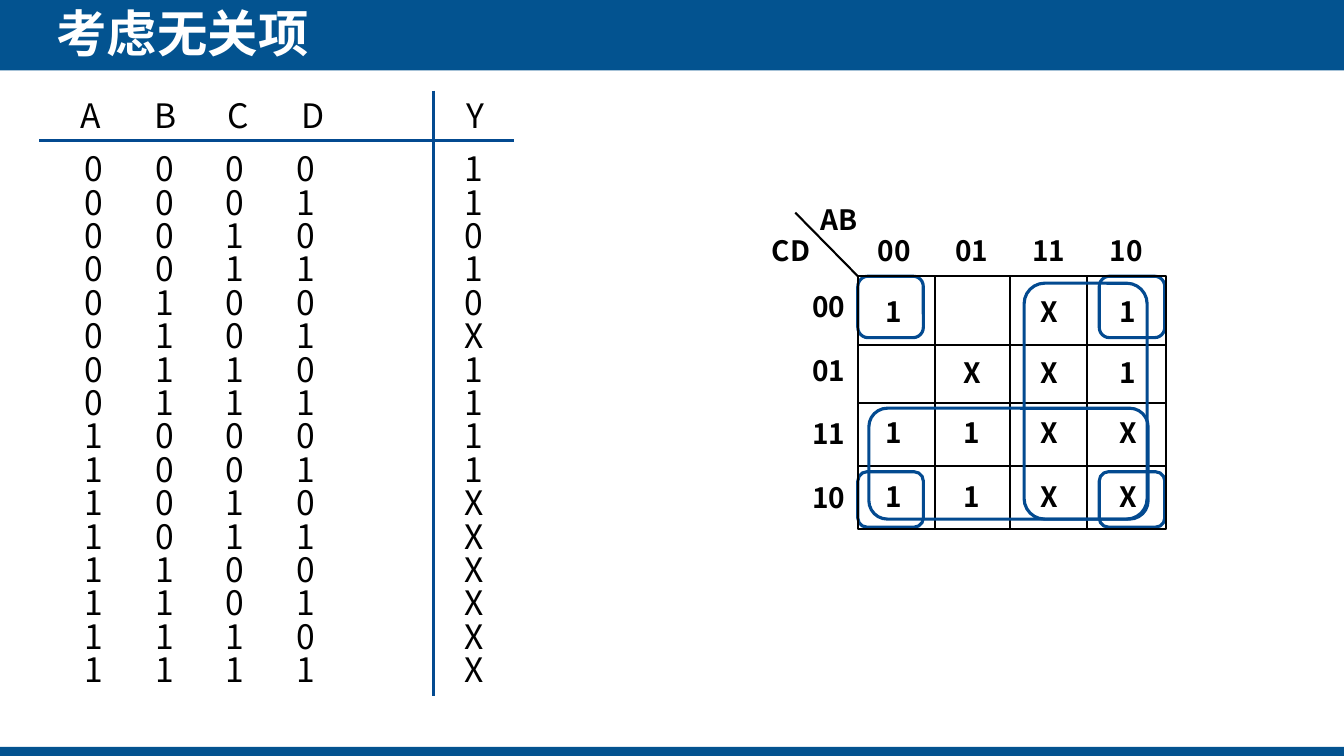
from lxml.etree import SubElement
from pptx import Presentation
from pptx.dml.color import RGBColor
from pptx.enum.shapes import MSO_CONNECTOR, MSO_SHAPE
from pptx.enum.text import MSO_ANCHOR, MSO_AUTO_SIZE, PP_ALIGN
from pptx.oxml.ns import qn
from pptx.util import Inches, Pt

BAND_BLUE = RGBColor(0x03, 0x53, 0x90)
LINE_BLUE = RGBColor(0x03, 0x4A, 0x90)
BLACK = RGBColor(0, 0, 0)
WHITE = RGBColor(0xFF, 0xFF, 0xFF)
FONT = "Noto Sans CJK SC"

# Grid of square cells, each a tenth of an inch
CELL = Inches(0.1)
COLUMNS, ROWS = 133.33, 75


def grid(*lengths):
    return [round(length * CELL) for length in lengths]


def write_text(frame, text, size=24, color=BLACK, bold=False,
               align=PP_ALIGN.LEFT, tab_step=None):
    paragraph = frame.paragraphs[0]
    paragraph.alignment = align
    if tab_step:
        tabs = SubElement(paragraph._p.get_or_add_pPr(), qn("a:tabLst"))
        for stop in range(1, text.count("\t") + 1):
            SubElement(tabs, qn("a:tab"), pos=str(grid(stop * tab_step)[0]), algn="l")
    run = paragraph.add_run()
    run.text = text
    font = run.font
    font.size, font.bold, font.name = Pt(size), bold, FONT
    font.color.rgb = color
    SubElement(run._r.get_or_add_rPr(), qn("a:ea"), typeface=FONT)


class Board:
    def __init__(self, slide):
        self.slide = slide
        self.shapes = slide.shapes

    def title(self, text, left, top, width, height):
        title = self.shapes.title
        title.left, title.top, title.width, title.height = grid(left, top, width, height)
        frame = title.text_frame
        frame.margin_left = frame.margin_right = 0
        frame.margin_top = frame.margin_bottom = 0
        frame.vertical_anchor = MSO_ANCHOR.MIDDLE
        write_text(frame, text, size=36, color=WHITE, bold=True)

    def band(self, top, height):
        band = self.shapes.add_shape(MSO_SHAPE.RECTANGLE, *grid(0, top, COLUMNS, height))
        band.shadow.inherit = False
        band.fill.solid()
        band.fill.fore_color.rgb = BAND_BLUE
        band.line.fill.background()
        # Bands lie behind the title
        self.shapes._spTree.insert(2, band._element)

    def outline(self, left, top, width, height, kind=MSO_SHAPE.ROUNDED_RECTANGLE,
                color=LINE_BLUE, weight=2.25):
        outline = self.shapes.add_shape(kind, *grid(left, top, width, height))
        outline.shadow.inherit = False
        outline.fill.background()
        outline.line.color.rgb = color
        outline.line.width = Pt(weight)
        return outline

    def rule(self, x1, y1, x2, y2, color=BLACK, weight=1.5):
        rule = self.shapes.add_connector(MSO_CONNECTOR.STRAIGHT, *grid(x1, y1, x2, y2))
        rule.line.color.rgb = color
        rule.line.width = Pt(weight)
        SubElement(rule._element.spPr, qn("a:effectLst"))
        return rule

    def label(self, text, left, top, width, height=5, wrap=True, **style):
        box = self.shapes.add_textbox(*grid(left, top, width, height))
        box.text_frame.word_wrap = wrap
        box.text_frame.auto_size = MSO_AUTO_SIZE.SHAPE_TO_FIT_TEXT
        write_text(box.text_frame, text, **style)

    def map_label(self, text, left, top, width):
        self.label(text, left, top, width, height=4.4, wrap=False, size=20, bold=True)


def draw_truth_table(board):
    board.rule(3.9, 13.9, 51, 13.9, LINE_BLUE, 2.25)
    board.rule(43, 9, 43, 69, LINE_BLUE, 2.25)
    board.label("A\tB\tC\tD", 7, 8.9, 31.9, tab_step=7.3)
    board.label("Y", 44.2, 8.9, 5.9, align=PP_ALIGN.CENTER)
    for number, output in enumerate("11010X1111XXXXXX"):
        top = 14.2 + 3.313 * number
        board.label("\t".join(f"{number:04b}"), 7.4, top, 30.3, tab_step=7)
        board.label(output, 45.1, top, 3.8)


def draw_karnaugh_map(board):
    left, top, width, height = 85.1, 27.4, 30.6, 25.1
    right, bottom = left + width, top + height
    middle = top + height / 2

    # Grid
    frame = board.outline(left, top, width, height, MSO_SHAPE.RECTANGLE, BLACK, 1.5)
    for x in (92.8, 100.2, 107.8):
        board.rule(x, top, x, bottom)
    for y in (34.2, 46.2):
        board.rule(left, y, right, y)
    centre_rule = board.rule(left, middle, right, middle)
    centre_rule.begin_connect(frame, 1)
    centre_rule.end_connect(frame, 3)
    board.rule(left, top, 78.9, 21.1)

    # Variables and Gray codes
    board.map_label("CD", 75.6, 22.7, 6.1)
    board.map_label("AB", 80.4, 19.6, 6)
    for index, code in enumerate(("00", "01", "11", "10")):
        board.map_label(code, 79.6, 28.2 + 6.33 * index, 5.5)
        board.map_label(code, 86.1 + 7.67 * index, 22.7, 5.5)

    # Cell values
    value_lefts = (86.9, 94.6, 102.2, 110.1)
    value_rows = {28.7: "1 X1", 34.8: " XX1", 40.7: "11XX", 47.1: "11XX"}
    for value_top, values in value_rows.items():
        for value_left, value in zip(value_lefts, values):
            if value != " ":
                board.map_label(value, value_left, value_top, 4 if value == "X" else 3.8)


def main():
    deck = Presentation()
    deck.slide_width, deck.slide_height = grid(COLUMNS, ROWS)
    board = Board(deck.slides.add_slide(deck.slide_layouts[5]))

    # Header and footer
    board.band(-0.3, 7.3)
    board.band(74.1, 1)
    board.title("考虑无关项", 5.6, 0.2, 85.7, 6.1)

    # Four corners loop
    for corner_top, corner_height in ((46.8, 5.5), (27.4, 6.1)):
        for corner_left in (109.05, 85.1):
            board.outline(corner_left, corner_top, 6.5, corner_height)

    draw_truth_table(board)
    draw_karnaugh_map(board)

    # Loops of eight
    board.outline(101.6, 28.1, 12.2, 23.4)
    board.outline(86.2, 40.5, 27.7, 11)

    deck.save("out.pptx")


if __name__ == "__main__":
    main()
